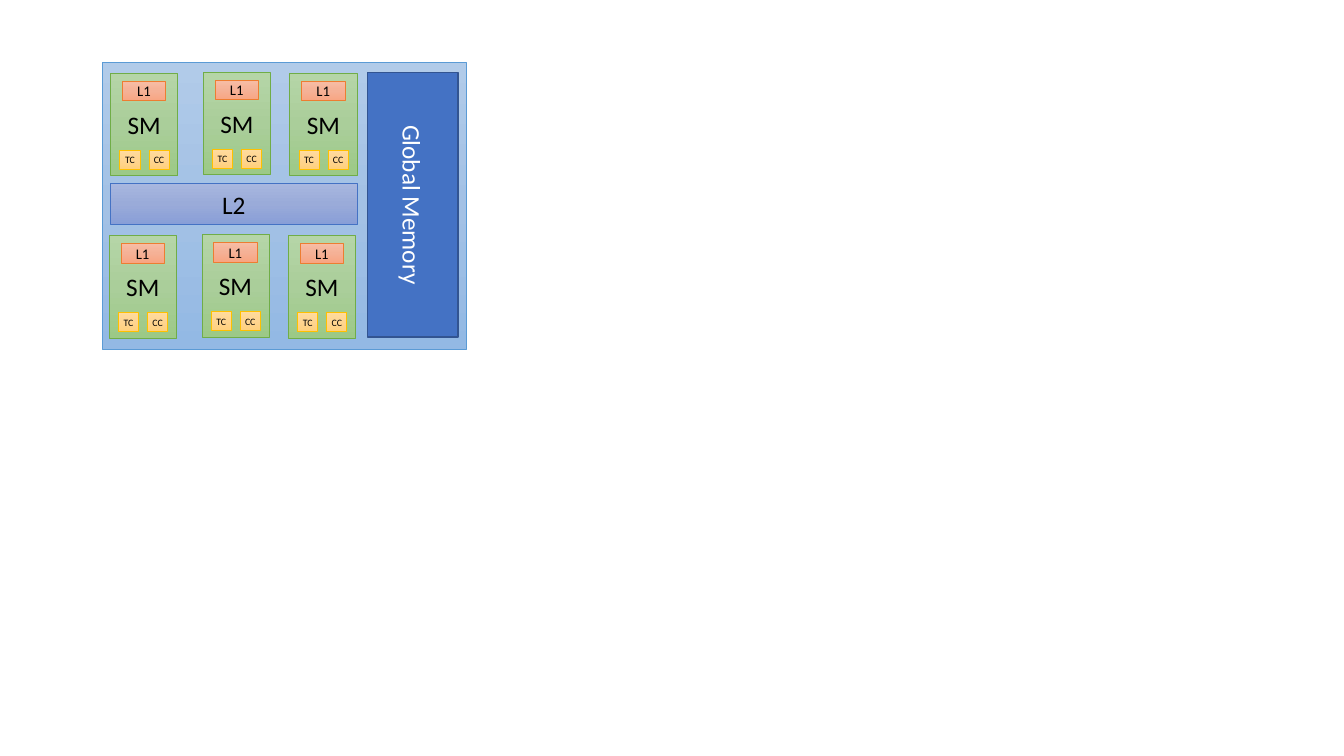
"""Draw a GPU block diagram: six SM units, an L2 cache and global memory."""
from copy import deepcopy
from dataclasses import dataclass

from pptx import Presentation
from pptx.dml.color import RGBColor as RGB
from pptx.enum.shapes import MSO_SHAPE as Kind
from pptx.enum.text import MSO_ANCHOR as Anchor, PP_ALIGN as Align
from pptx.oxml.ns import qn
from pptx.util import Pt


@dataclass(frozen=True)
class Theme:
    font: str = "Calibri"
    large: float = 18
    small: float = 10.5
    tiny: float = 7
    dark: str = "000000"
    light: str = "FFFFFF"
    thin: float = 0.5
    chip: tuple = ("B1CBE9", "A3C1E5", "93B9E4", "5B9BD5")
    unit: tuple = ("B5D5A7", "AACE9A", "9CC987", "70AD47")
    cache: tuple = ("F7BDA5", "F5B196", "F8A582", "ED7D31")
    core: tuple = ("FFDB9E", "FFD590", "FFD07C", "FFC000")
    shared: tuple = ("A8B7DF", "9AABD9", "889ED7", "4472C4")
    memory: str = "4472C4"
    edge: str = "325491"


class Board:
    def __init__(self, slide, theme):
        self.slide = slide
        self.theme = theme

    def box(self, home, place, line, width):
        shape = home.shapes.add_shape(Kind.RECTANGLE, *map(Pt, place))
        shape.shadow.inherit = False
        shape.line.color.rgb = RGB.from_string(line)
        shape.line.width = Pt(width)
        return shape

    def blend(self, home, place, tints):
        *shades, line = tints
        shape = self.box(home, place, line, self.theme.thin)
        shape.fill.gradient()
        shape.fill.gradient_angle = 270
        stops = shape.element.spPr.find(".//" + qn("a:gsLst"))
        stops.insert(1, deepcopy(stops[0]))
        for i, (stop, shade) in enumerate(zip(shape.fill.gradient_stops, shades)):
            stop.color.rgb = RGB.from_string(shade)
            stop.position = i / 2
        return shape

    def solid(self, home, place, fill, line):
        shape = self.box(home, place, line, 1)
        shape.fill.solid()
        shape.fill.fore_color.rgb = RGB.from_string(fill)
        return shape

    def label(self, shape, text, size, color=None, tight=False):
        frame = shape.text_frame
        frame.word_wrap = True
        frame.vertical_anchor = Anchor.MIDDLE
        if tight:
            frame.margin_left = frame.margin_right = 0
            frame.margin_top = frame.margin_bottom = 0
        para = frame.paragraphs[0]
        para.text = text
        para.alignment = Align.CENTER
        para.font.name = self.theme.font
        para.font.size = Pt(size)
        para.font.color.rgb = RGB.from_string(color or self.theme.dark)

    def unit(self, x, y):
        look = self.theme
        group = self.slide.shapes.add_group_shape()
        body = self.blend(group, (x, y, 48, 73), look.unit)
        self.label(body, "SM", look.large)
        cache = self.blend(group, (x + 8.4, y + 5.6, 31, 14), look.cache)
        self.label(cache, "L1", look.small)
        for name, dx in (("CC", 27.4), ("TC", 6.6)):
            core = self.blend(group, (x + dx, y + 55, 14.4, 13.6), look.core)
            self.label(core, name, look.tiny, tight=True)


deck = Presentation()
deck.slide_width, deck.slide_height = Pt(960), Pt(540)
look = Theme()
board = Board(deck.slides.add_slide(deck.slide_layouts[6]), look)

board.blend(board.slide, (73, 44.8, 260, 204.6), look.chip)
for left, top in ((79, 52.4), (78, 168.4)):
    for dx, dy in ((0, 0), (66.2, -0.7), (128, 0)):
        board.unit(left + dx, top + dy)

shared = board.blend(board.slide, (79, 131, 176, 29.5), look.shared)
board.label(shared, "L2", look.large)
memory = board.solid(board.slide, (262.3, 51.8, 65, 189), look.memory, look.edge)
board.label(memory, "Global Memory", look.large, look.light)
memory.element.txBody.bodyPr.set("vert", "vert")

deck.save("out.pptx")
